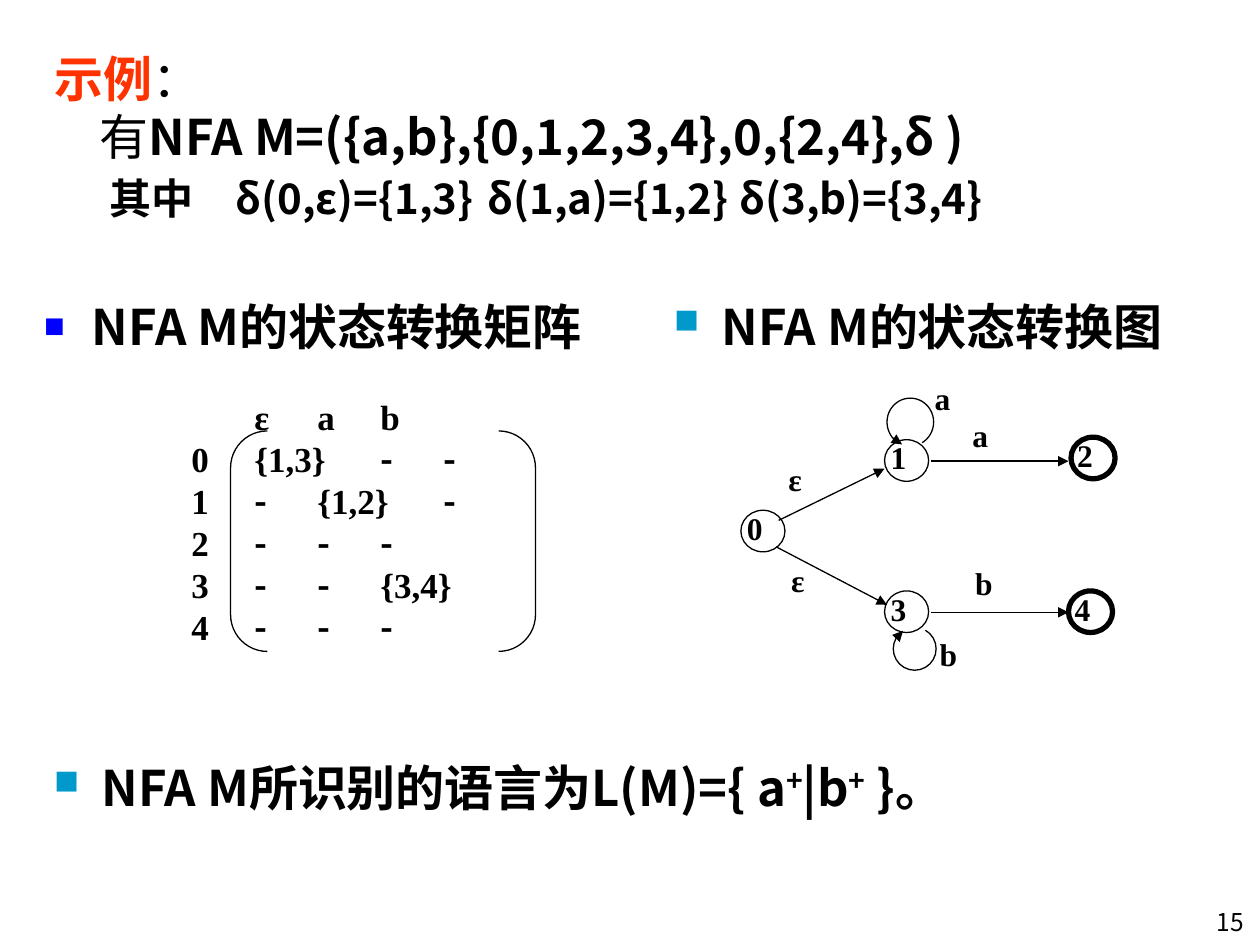
from lxml import etree
from pptx import Presentation
from pptx.dml.color import RGBColor
from pptx.enum.shapes import MSO_CONNECTOR, MSO_SHAPE
from pptx.enum.text import MSO_ANCHOR, MSO_AUTO_SIZE, PP_ALIGN
from pptx.oxml.ns import qn
from pptx.util import Inches, Pt

LEFT, RIGHT = PP_ALIGN.LEFT, PP_ALIGN.RIGHT
TOP, MIDDLE = MSO_ANCHOR.TOP, MSO_ANCHOR.MIDDLE
SANS, SERIF = "Noto Sans CJK SC", "Times New Roman"
COLORS = {"text": "000000", "accent": "FF3300", "blue": "0000FF", "teal": "0099CC"}

# Title: each line is (indent, tab stops, runs); a run is (text, format)
TITLE_BOX = (0.33, 0.17, 9.42, 1.76)
TITLE = [
    (0, [], [("示例", {"color": "accent"}), ("：", {"bold": False})]),
    (0.36, [], [("有", {"bold": False}), ("NFA M=({a,b},{0,1,2,3,4},0,{2,4},δ )", {})]),
    (0.44, [1.35, 3.46, 5.6],
     [("其中\tδ(0,ε)={1,3}\tδ(1,a)={1,2}\tδ(3,b)={3,4}", {"size": 24})]),
]

# Bulleted headings: box, bullet colour, runs
RAISED = {"raised": True}
HEADINGS = [
    ((0.25, 2.26, 4.52, 0.59), "blue", [("NFA M的状态转换矩阵", {})]),
    ((5.25, 2.26, 4.33, 0.58), "teal", [("NFA M的状态转换图", {})]),
    ((0.33, 5.92, 9.12, 0.58), "teal",
     [("NFA M所识别的语言为L(M)={ a", {}), ("+", RAISED), ("|b", {}),
      ("+", RAISED), (" }。", {})]),
]

# Transition matrix: row label followed by three cells
MATRIX_BOX = (1.42, 3.09, 3.08, 2.08)
BRACKET_BOX = (1.83, 3.42, 2.42, 1.75)
MATRIX = [
    ("", "ε", "a", "b"),
    ("0", "{1,3}", "-", "-"),
    ("1", "-", "{1,2}", "-"),
    ("2", "-", "-", "-"),
    ("3", "-", "-", "{3,4}"),
    ("4", "-", "-", "-"),
]
FIRST_COLUMN, COLUMN_STEP = 0.86, 0.68

# Transition graph: state -> (left, top, outline width)
NODE_SIZE = (0.35, 0.33)
NODES = {
    "0": (5.88, 4.05, 0.75),
    "1": (7.02, 3.49, 0.75),
    "3": (7.02, 4.69, 0.75),
    "2": (8.5, 3.47, 3),
    "4": (8.48, 4.69, 3),
}
EDGES = [
    (6.18, 4.13, 7.02, 3.72),
    (6.16, 4.34, 7.04, 4.8),
    (7.39, 3.66, 8.48, 3.66),
    (7.39, 4.86, 8.48, 4.86),
]
# Self loops: box, clockwise start and end angle, end that has the arrow
LOOPS = [
    ((7.04, 3.16, 0.37, 0.38), 110, 60, "headEnd"),
    ((7.09, 4.98, 0.34, 0.34), 300, 237, "tailEnd"),
]
EDGE_LABELS = [
    ("ε", 6.16, 3.6), ("ε", 6.18, 4.4), ("a", 7.32, 2.96),
    ("a", 7.62, 3.25), ("b", 7.64, 4.43), ("b", 7.36, 4.99),
]


def rgb(name):
    return RGBColor.from_string(COLORS[name])


def inches(values):
    return [Inches(value) for value in values]


def add_span(para, text, font=SANS, size=28, color="text", bold=True, raised=False):
    span = para.add_run()
    span.text = text
    span.font.name, span.font.size, span.font.bold = font, Pt(size), bold
    span.font.color.rgb = rgb(color)
    properties = span.font._element
    etree.SubElement(properties, qn("a:ea"), typeface=font)
    if raised:
        properties.set("baseline", "30000")


def set_para(para, spans, align=LEFT, pitch=None, indent=0, hanging=0,
             bullet=None, tabs=(), tab_align="l"):
    properties = para._p.get_or_add_pPr()
    properties.set("marL", str(Inches(indent)))
    properties.set("indent", str(Inches(-hanging)))
    if bullet:
        color = etree.SubElement(properties, qn("a:buClr"))
        etree.SubElement(color, qn("a:srgbClr"), val=COLORS[bullet])
        etree.SubElement(properties, qn("a:buSzPct"), val="70000")
        etree.SubElement(properties, qn("a:buChar"), char="■")
    if tabs:
        stops = etree.SubElement(properties, qn("a:tabLst"))
        for stop in tabs:
            etree.SubElement(stops, qn("a:tab"), pos=str(Inches(stop)), algn=tab_align)
    para.alignment, para.space_before = align, Pt(0)
    if pitch:
        para.line_spacing = Pt(pitch)
    for text, style in spans:
        add_span(para, text, **style)


def set_box(box, place, paras, anchor=TOP, top_margin=0.05):
    """Place a text shape and fill it with (runs, paragraph format) pairs."""
    box.left, box.top, box.width, box.height = inches(place)
    frame = box.text_frame
    frame.word_wrap, frame.auto_size = True, MSO_AUTO_SIZE.NONE
    frame.vertical_anchor = anchor
    frame.margin_left = frame.margin_right = Inches(0.1)
    frame.margin_top, frame.margin_bottom = Inches(top_margin), Inches(0.05)
    for index, (spans, style) in enumerate(paras):
        para = frame.add_paragraph() if index else frame.paragraphs[0]
        set_para(para, spans, **style)


def add_text(parent, place, paras, **style):
    set_box(parent.shapes.add_textbox(*inches(place)), place, paras, **style)


def add_outline(parent, kind, place, width=0.75):
    shape = parent.shapes.add_shape(kind, *inches(place))
    shape.shadow.inherit = False
    shape.fill.background()
    shape.line.color.rgb, shape.line.width = rgb("text"), Pt(width)
    return shape


def add_arrow(shape, end="tailEnd"):
    etree.SubElement(shape.line._get_or_add_ln(), qn(f"a:{end}"), type="triangle")


def add_graph(page):
    graph = page.shapes.add_group_shape()
    label_style = {"font": SERIF, "size": 18}
    for state, (left, top, width) in NODES.items():
        add_outline(graph, MSO_SHAPE.OVAL, (left, top, *NODE_SIZE), width)
        add_text(graph, (left - 0.05, top - 0.06, 0.46, 0.45),
                 [([(state, label_style)], {})])
    for edge in EDGES:
        line = graph.shapes.add_connector(MSO_CONNECTOR.STRAIGHT, *inches(edge))
        line.line.color.rgb, line.line.width = rgb("text"), Pt(0.75)
        add_arrow(line)
        etree.SubElement(line._element.spPr, qn("a:effectLst"))
    for place, start, end, arrow_end in LOOPS:
        loop = add_outline(graph, MSO_SHAPE.ARC, place)
        # Arc angles are stored in 60000ths of a degree
        loop.adjustments[0], loop.adjustments[1] = start * 0.6, end * 0.6
        add_arrow(loop, arrow_end)
    for label, left, top in EDGE_LABELS:
        add_text(graph, (left, top, 0.63, 0.52), [([(label, label_style)], {})])


def add_matrix(page):
    matrix = page.shapes.add_group_shape()
    stops = [FIRST_COLUMN + COLUMN_STEP * column for column in range(3)]
    style = {"pitch": 24, "tabs": stops, "tab_align": "ctr"}
    paras = []
    for label, *cells in MATRIX:
        spans = [(label, {"font": SERIF, "size": 20})] if label else []
        spans += [("\t" + cell, {"font": SANS if cell == "-" else SERIF, "size": 20})
                  for cell in cells]
        paras.append((spans, style))
    add_text(matrix, MATRIX_BOX, paras)
    bracket = add_outline(matrix, MSO_SHAPE.DOUBLE_BRACKET, BRACKET_BOX)
    bracket.adjustments[0] = 0.167


def main():
    deck = Presentation()
    deck.slide_width, deck.slide_height = Inches(10), Inches(7.5)
    page = deck.slides.add_slide(deck.slide_layouts[1])

    # Title and headings
    set_box(page.shapes.title, TITLE_BOX,
            [(spans, {"indent": indent, "tabs": tabs, "pitch": 33})
             for indent, tabs, spans in TITLE], anchor=MIDDLE, top_margin=0.11)
    for index, (place, color, spans) in enumerate(HEADINGS):
        box = page.shapes.add_textbox(*inches(place)) if index else page.placeholders[1]
        style = {"bullet": color, "indent": 0.38, "hanging": 0.38, "pitch": 33}
        set_box(box, place, [(spans, style)], top_margin=0.1)

    add_graph(page)
    add_matrix(page)

    # Page number
    add_text(page, (9.18, 7.15, 0.79, 0.3),
             [([("15", {"size": 14, "bold": False})], {"align": RIGHT, "pitch": 17})])
    deck.save("out.pptx")


if __name__ == "__main__":
    main()
